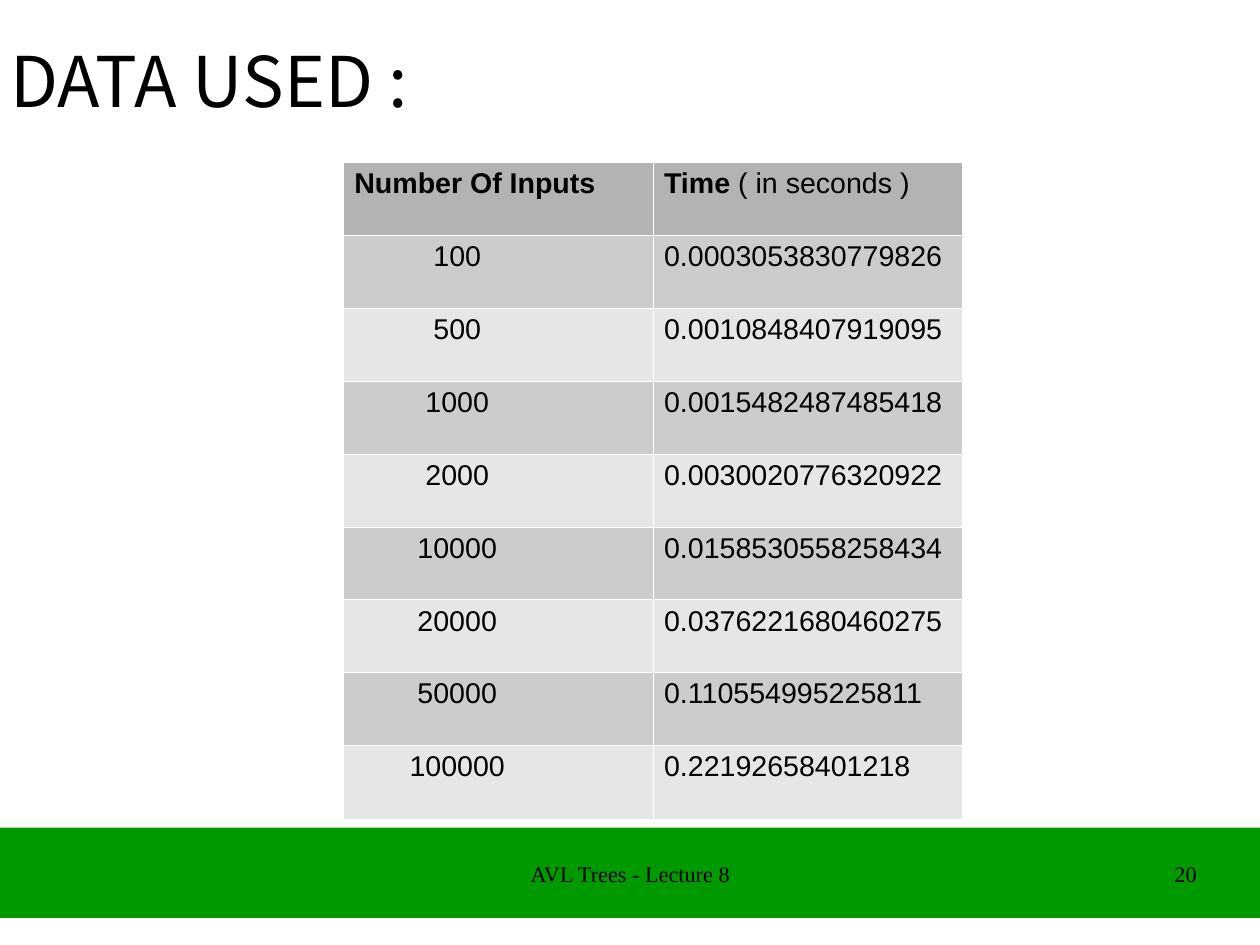
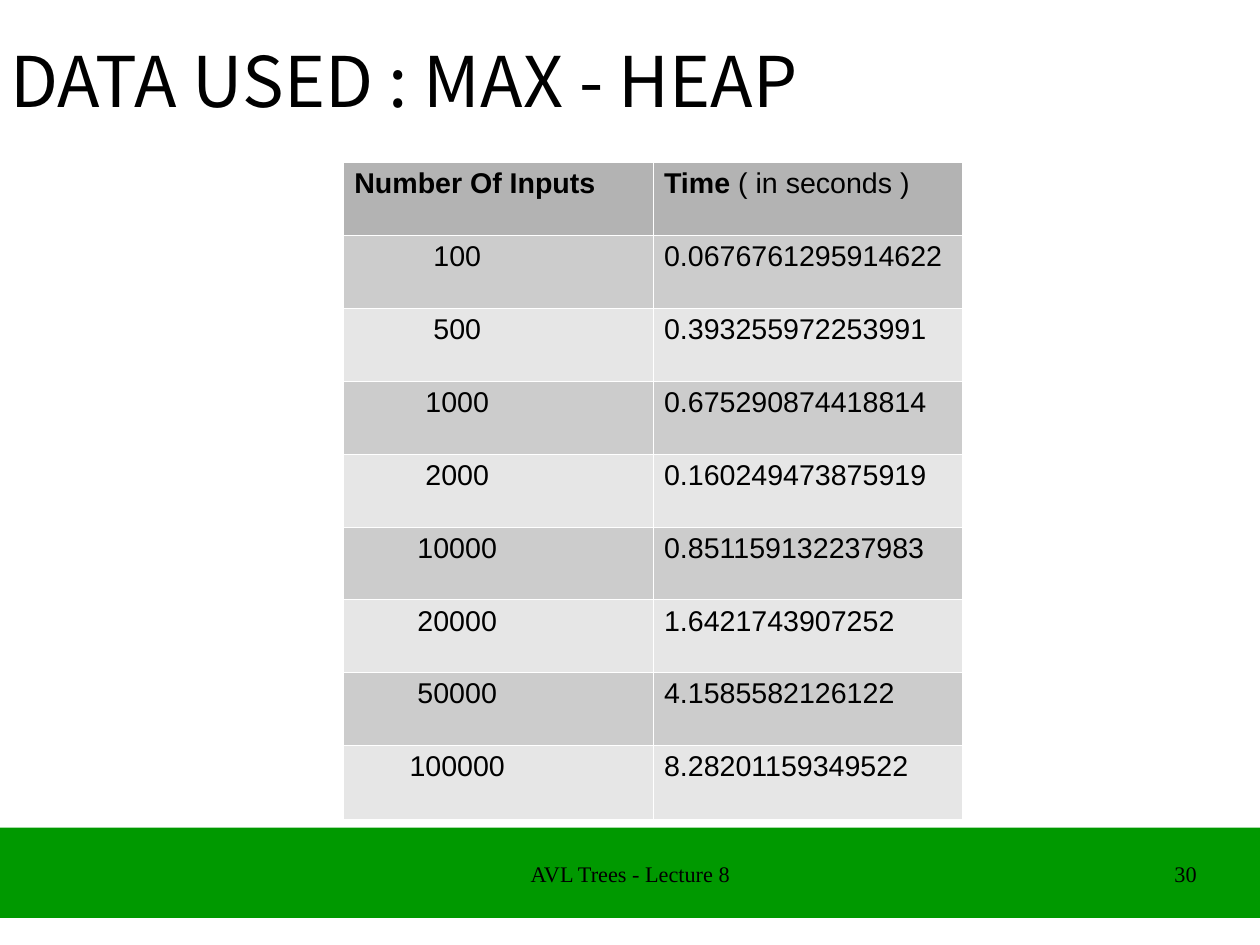
from dataclasses import dataclass

from lxml import etree
from pptx import Presentation
from pptx.dml.color import RGBColor
from pptx.enum import shapes, text
from pptx.oxml import ns
from pptx.slide import Slide
from pptx.table import _Cell as Cell
from pptx.text.text import TextFrame
from pptx.util import Cm, Inches, Pt

BLACK = RGBColor(0x00, 0x00, 0x00)
GREEN = RGBColor(0x00, 0x99, 0x00)
HEADER_FILL = RGBColor(0xB3, 0xB3, 0xB3)
ROW_FILLS = (RGBColor(0xCC, 0xCC, 0xCC), RGBColor(0xE6, 0xE6, 0xE6))
BORDER_COLOR = RGBColor(0xFF, 0xFF, 0xFF)
BORDER_WIDTH = Pt(0.06)

TITLE_FONT, TABLE_FONT, FOOTER_FONT = "Noto Sans CJK SC", "Arial", "Times New Roman"
SLIDE_WIDTH, SLIDE_HEIGHT = Cm(28), Cm(21)  # the page is a whole number of centimetres
COLUMN_WIDTH = Inches(2.71)
TABLE_HEIGHT, LAST_ROW_HEIGHT = Inches(5.75), Inches(0.65)
COUNT_MARGIN_RIGHT = Inches(0.81)  # centres the input counts one inch into the column

FOOTER = "AVL Trees - Lecture 8"
HEADERS = (("Number Of Inputs", ""), ("Time", " ( in seconds )"))
INPUT_COUNTS = ("100", "500", "1000", "2000", "10000", "20000", "50000", "100000")


@dataclass(frozen=True)
class TimingSlide:
    title: str
    title_width: float
    number: str
    times: tuple[str, ...]


TIMING_SLIDES = (
    TimingSlide("DATA USED :", 4.03, "20", (
        "0.0003053830779826", "0.0010848407919095", "0.0015482487485418",
        "0.0030020776320922", "0.0158530558258434", "0.0376221680460275",
        "0.110554995225811", "0.22192658401218")),
    TimingSlide("DATA USED : MAX - HEAP", 10.88, "30", (
        "0.0676761295914622", "0.393255972253991", "0.675290874418814",
        "0.160249473875919", "0.851159132237983", "1.6421743907252",
        "4.1585582126122", "8.28201159349522")),
)


def write(frame: TextFrame, content: str, font_name: str, size: float,
          alignment: text.PP_ALIGN = text.PP_ALIGN.LEFT) -> None:
    paragraph = frame.paragraphs[0]
    paragraph.text = content
    paragraph.alignment = alignment
    paragraph.font.name = font_name
    paragraph.font.size = Pt(size)
    paragraph.font.color.rgb = BLACK


def add_band(slide: Slide) -> None:
    band = slide.shapes.add_shape(shapes.MSO_SHAPE.RECTANGLE, 0, Inches(7.24),
                                  SLIDE_WIDTH, Inches(0.79))
    band.shadow.inherit = False
    band.fill.solid()
    band.fill.fore_color.rgb = GREEN
    band.line.fill.background()


def add_footer_text(slide: Slide, content: str, left: float, width: float,
                    alignment: text.PP_ALIGN) -> None:
    box = slide.shapes.add_textbox(Inches(left), Inches(7.53), Inches(width), Inches(0.57))
    frame = box.text_frame
    frame.word_wrap = True
    frame.margin_left = frame.margin_right = frame.margin_top = frame.margin_bottom = 0
    write(frame, content, FOOTER_FONT, 14, alignment)


def format_title(slide: Slide, content: str, width: float) -> None:
    title = slide.shapes.title
    title.left, title.top = Inches(-0.01), Inches(0.28)
    title.width, title.height = Inches(width), Inches(1.91)
    frame = title.text_frame
    frame.word_wrap = True
    frame.auto_size = text.MSO_AUTO_SIZE.NONE
    frame.vertical_anchor = text.MSO_ANCHOR.TOP
    write(frame, content, TITLE_FONT, 44)


def style_cell(cell: Cell, fill: RGBColor) -> None:
    """Give the cell thin borders, then its fill, in the order the schema asks for."""
    properties = cell._tc.get_or_add_tcPr()
    for side in ("lnL", "lnR", "lnT", "lnB"):
        border = etree.SubElement(properties, ns.qn(f"a:{side}"), w=str(int(BORDER_WIDTH)))
        solid = etree.SubElement(border, ns.qn("a:solidFill"))
        etree.SubElement(solid, ns.qn("a:srgbClr"), val=str(BORDER_COLOR))
    cell.fill.solid()
    cell.fill.fore_color.rgb = fill


def add_timing_table(slide: Slide, times: tuple[str, ...]) -> None:
    row_count = len(times) + 1
    table = slide.shapes.add_table(row_count, len(HEADERS), Inches(3), Inches(1.42),
                                   COLUMN_WIDTH * len(HEADERS), TABLE_HEIGHT).table
    table.first_row = table.horz_banding = False
    for column in table.columns:
        column.width = COLUMN_WIDTH
    for row in table.rows:
        row.height = (TABLE_HEIGHT - LAST_ROW_HEIGHT) // (row_count - 1)
    table.rows[row_count - 1].height = LAST_ROW_HEIGHT

    for column_index, (label, unit) in enumerate(HEADERS):
        cell = table.cell(0, column_index)
        style_cell(cell, HEADER_FILL)
        write(cell.text_frame, label, TABLE_FONT, 18)
        paragraph = cell.text_frame.paragraphs[0]
        paragraph.runs[0].font.bold = True
        if unit:
            paragraph.add_run().text = unit

    for row_index, (count, time) in enumerate(zip(INPUT_COUNTS, times), start=1):
        count_cell, time_cell = table.cell(row_index, 0), table.cell(row_index, 1)
        for cell in (count_cell, time_cell):
            style_cell(cell, ROW_FILLS[(row_index - 1) % 2])
        count_cell.margin_right = COUNT_MARGIN_RIGHT
        write(count_cell.text_frame, count, TABLE_FONT, 18, text.PP_ALIGN.CENTER)
        write(time_cell.text_frame, time, TABLE_FONT, 18)


def main() -> None:
    presentation = Presentation()
    presentation.slide_width, presentation.slide_height = SLIDE_WIDTH, SLIDE_HEIGHT
    title_only = presentation.slide_layouts.get_by_name("Title Only")
    for timing in TIMING_SLIDES:
        slide = presentation.slides.add_slide(title_only)
        add_band(slide)
        add_timing_table(slide, timing.times)
        format_title(slide, timing.title, timing.title_width)
        add_footer_text(slide, FOOTER, 3.77, 3.49, text.PP_ALIGN.CENTER)
        add_footer_text(slide, timing.number, 7.9, 2.57, text.PP_ALIGN.RIGHT)
    presentation.save("out.pptx")


if __name__ == "__main__":
    main()
